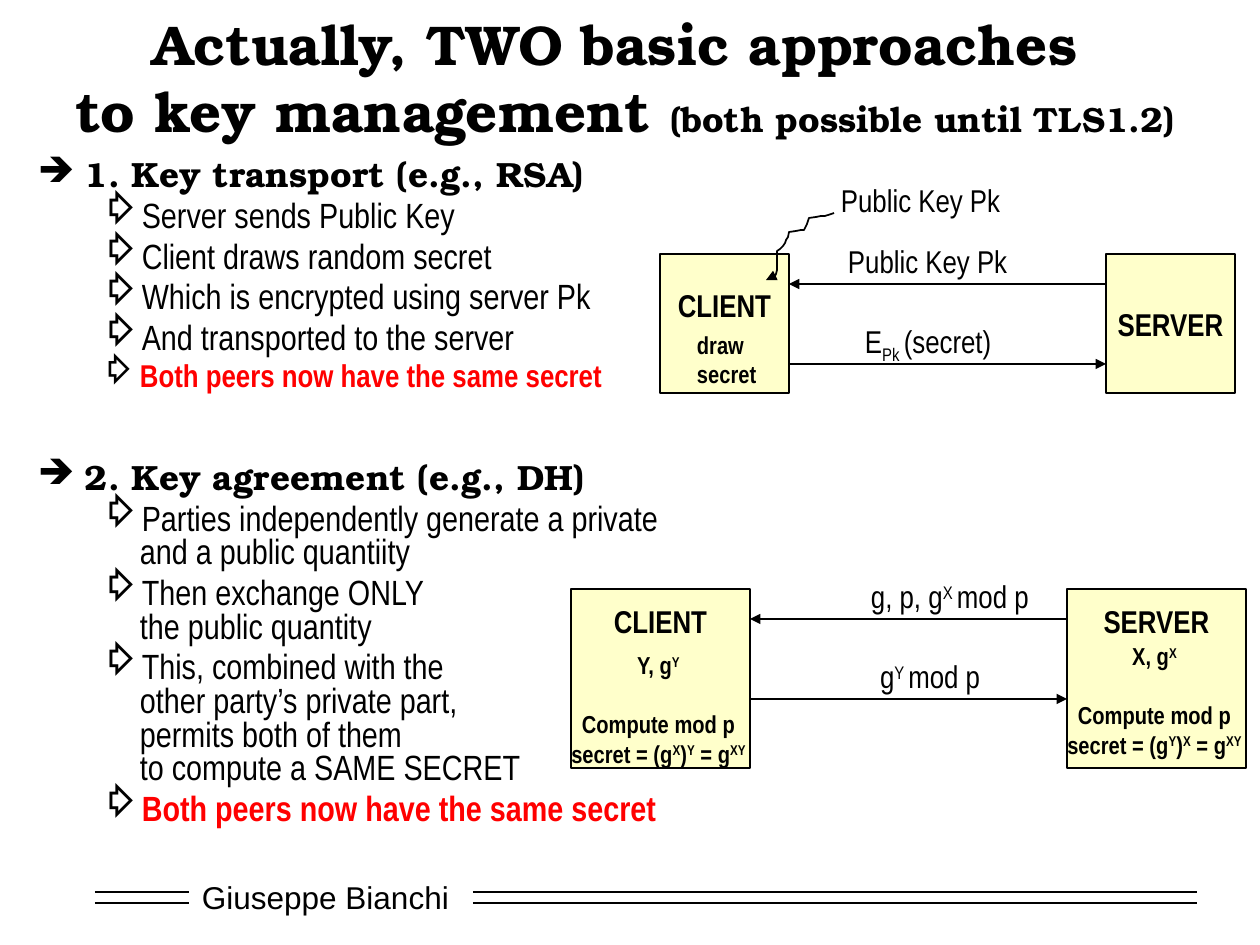
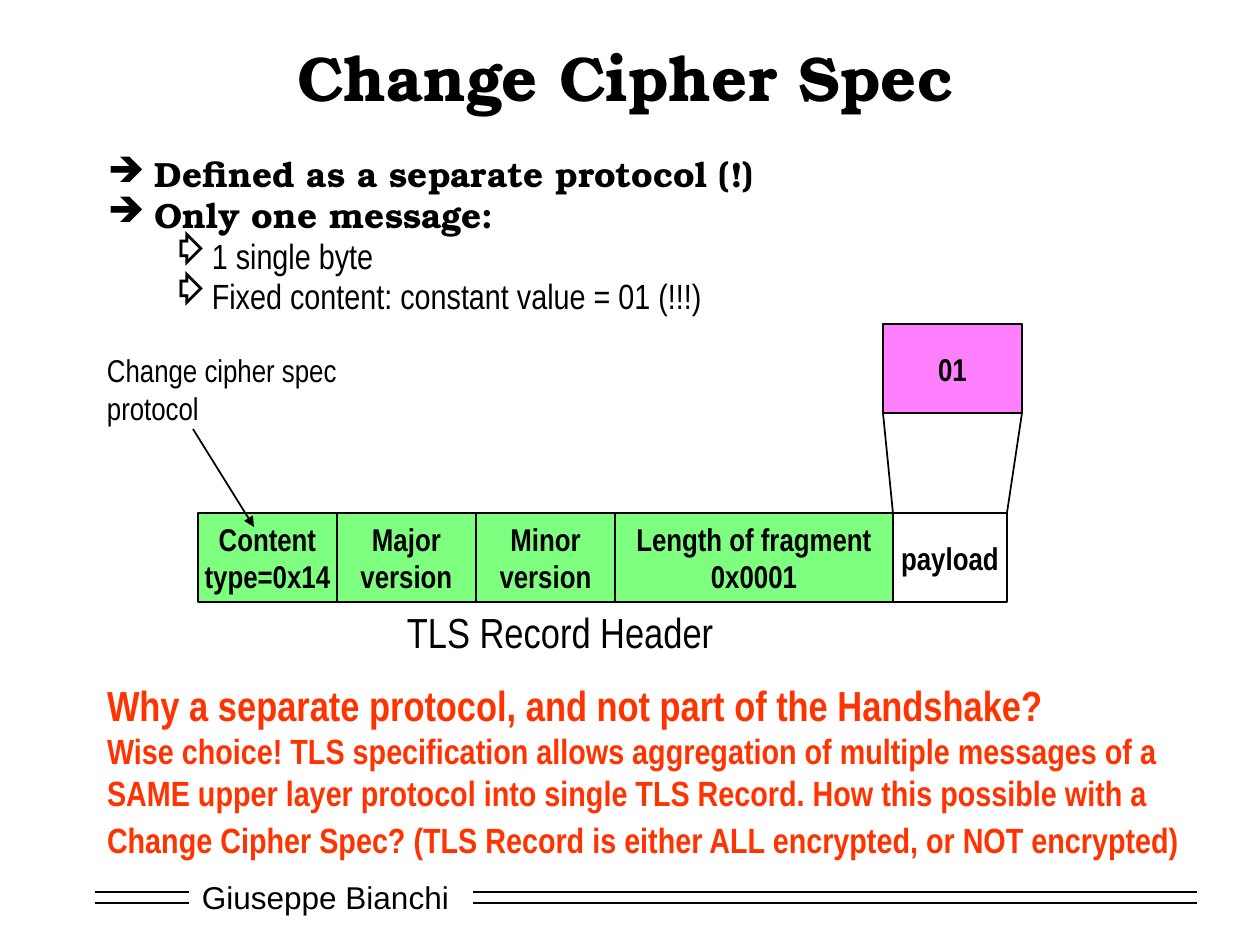
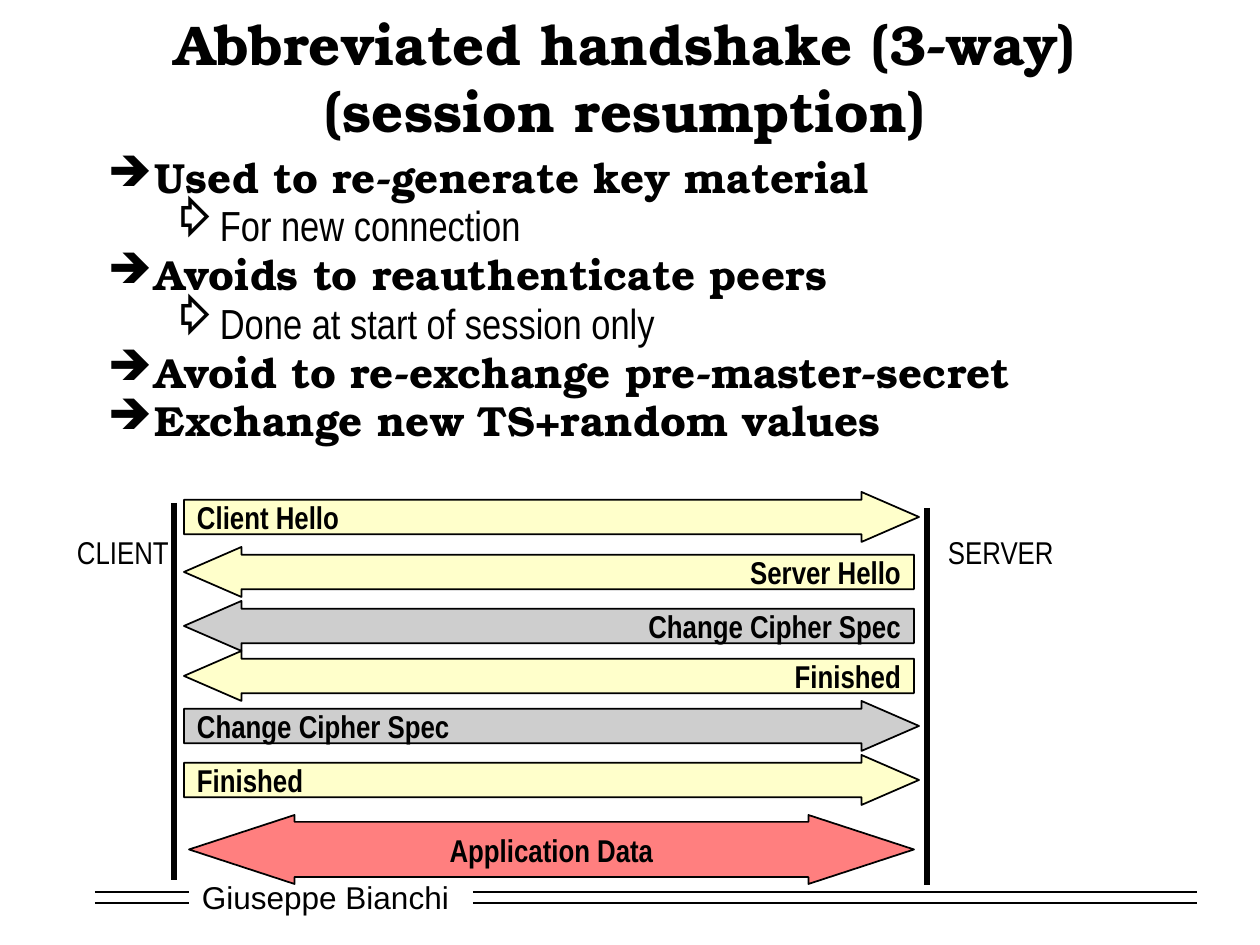
import lxml.etree
import pptx
import pptx.dml.color
import pptx.enum.shapes
import pptx.enum.text
import pptx.oxml.ns
import pptx.util

EMU_PER_PX = 914400 / 126
COLORS = {
    "ink": "000000",
    "paper": "FFFFFF",
    "alert": "FF0000",
    "question": "FF3300",
    "party": "FFFF99",
    "header": "00FF00",
    "content": "FF00FF",
    "cipher": "CECECE",
    "data": "FF0000",
}
SERIF, NARROW, SANS = "TeX Gyre Bonum", "Arial Narrow", "Arial"
BULLETS = {0: ("➔", 47, -47), 1: ("⇨", 102, -39)}
INSETS = (13, 6, 13, 6)
NO_INSETS = (0, 0, 0, 0)

ALIGN = pptx.enum.text.PP_ALIGN
ANCHOR = pptx.enum.text.MSO_ANCHOR
SHAPE = pptx.enum.shapes.MSO_SHAPE


def px(length):
    return pptx.util.Emu(round(length * EMU_PER_PX))


def rgb(name):
    return pptx.dml.color.RGBColor.from_string(COLORS[name])


def add_xml(parent, tag, **attributes):
    return lxml.etree.SubElement(parent, pptx.oxml.ns.qn(tag), attributes)


def style_font(font, size, name=NARROW, bold=False, color="ink"):
    font.size = pptx.util.Pt(size)
    font.name = name
    font.bold = bold
    font.color.rgb = rgb(color)


def fill_paragraph(paragraph, pieces):
    """Write a string, or a list of strings and (string, baseline percent) pairs."""
    for piece in [pieces] if isinstance(pieces, str) else pieces:
        text, baseline = (piece, 0) if isinstance(piece, str) else piece
        for index, line in enumerate(text.split("\n")):
            if index:
                paragraph.add_line_break()
            run = paragraph.add_run()
            run.text = line
            if baseline:
                run.font._element.set("baseline", str(baseline * 1000))


def set_frame(frame, insets=INSETS, anchor=ANCHOR.TOP):
    frame.word_wrap = True
    frame.auto_size = pptx.enum.text.MSO_AUTO_SIZE.NONE
    frame.vertical_anchor = anchor
    frame.margin_left, frame.margin_top, frame.margin_right, frame.margin_bottom = map(px, insets)


def next_paragraph(frame, index):
    return frame.add_paragraph() if index else frame.paragraphs[0]


def write(frame, paragraphs, size, align=ALIGN.LEFT, **font):
    for index, pieces in enumerate(paragraphs):
        paragraph = next_paragraph(frame, index)
        paragraph.alignment = align
        style_font(paragraph.font, size, **font)
        fill_paragraph(paragraph, pieces)


def add_text(slide, box, paragraphs, size=18, align=ALIGN.LEFT, anchor=ANCHOR.TOP, **font):
    frame = slide.shapes.add_textbox(*map(px, box)).text_frame
    set_frame(frame, anchor=anchor)
    write(frame, paragraphs, size, align, **font)
    return frame


def add_block(slide, kind, box, text, fill, opacity=50, align=ALIGN.CENTER,
              insets=NO_INSETS, anchor=ANCHOR.MIDDLE):
    shape = slide.shapes.add_shape(kind, *map(px, box))
    shape.shadow.inherit = False
    shape.fill.solid()
    shape.fill.fore_color.rgb = rgb(fill)
    if opacity < 100:
        color = shape.element.spPr.find(".//" + pptx.oxml.ns.qn("a:srgbClr"))
        add_xml(color, "a:alpha", val=str(opacity * 1000))
    shape.line.color.rgb = rgb("ink")
    shape.line.width = pptx.util.Pt(1)
    set_frame(shape.text_frame, insets, anchor)
    write(shape.text_frame, [text], 18, align, bold=True)
    return shape


def style_line(shape, width=1, arrow=False):
    shape.line.color.rgb = rgb("ink")
    shape.line.width = pptx.util.Pt(width)
    if arrow:
        add_xml(shape.line._get_or_add_ln(), "a:tailEnd", type="triangle")


def add_line(slide, start, end, width=1, arrow=False):
    line = slide.shapes.add_connector(
        pptx.enum.shapes.MSO_CONNECTOR.STRAIGHT, *map(px, start + end))
    style_line(line, width, arrow)
    add_xml(line.element.spPr, "a:effectLst")
    return line


def add_curve_arrow(slide, start, curves, steps=6):
    """Draw joined cubic curves, each given by two control points and an end."""
    points = [start]
    for first, second, end in curves:
        origin = points[-1]
        for step in range(1, steps + 1):
            t = step / steps
            weights = ((1 - t) ** 3, 3 * t * (1 - t) ** 2, 3 * t * t * (1 - t), t ** 3)
            corners = (origin, first, second, end)
            points.append(tuple(sum(w * corner[axis] for w, corner in zip(weights, corners))
                                for axis in (0, 1)))
    builder = slide.shapes.build_freeform(*points[0], scale=EMU_PER_PX)
    builder.add_line_segments(points[1:], close=False)
    shape = builder.convert_to_shape()
    shape.shadow.inherit = False
    shape.fill.background()
    style_line(shape, arrow=True)


def add_footer(slide, layout):
    """Draw the footer, then hand its parts to the layout that all slides share."""
    frame = add_text(slide, (189, 872, 273, 50), ["Giuseppe Bianchi"], name=SANS,
                     anchor=ANCHOR.MIDDLE)
    parts = [frame._parent]
    for y in (892, 903):
        for left, right in ((95, 189), (473, 1197)):
            parts.append(add_line(slide, (left, y), (right, y)))
    for part in parts:
        layout.shapes.element.append(part.element)


def add_title(slide, text, size, note="", box=(95, 32, 1061, 89)):
    title = slide.shapes.title
    title.left, title.top, title.width, title.height = map(px, box)
    set_frame(title.text_frame, anchor=ANCHOR.MIDDLE)
    write(title.text_frame, [text], size, ALIGN.CENTER, name=SERIF, bold=True)
    if note:
        run = title.text_frame.paragraphs[0].add_run()
        run.text = note
        run.font.size = pptx.util.Pt(20)


def add_bullets(slide, box, items, size):
    """Items are (level, text), with an optional dict of size, color, bold and before."""
    frame = slide.shapes.add_textbox(*map(px, box)).text_frame
    set_frame(frame)
    for index, (level, text, *options) in enumerate(items):
        style = {"size": size, "name": NARROW if level else SERIF, "bold": not level}
        style.update(*options)
        before = style.pop("before", round(style["size"] * 0.2, 1))
        paragraph = next_paragraph(frame, index)
        paragraph.level = level
        paragraph.line_spacing = 0.8
        paragraph.space_before = pptx.util.Pt(before)
        symbol, margin, indent = BULLETS[level]
        properties = paragraph._p.get_or_add_pPr()
        properties.set("marL", str(px(margin)))
        properties.set("indent", str(px(indent)))
        bullet_color = add_xml(properties, "a:buClr")
        add_xml(bullet_color, "a:srgbClr", val=COLORS["ink"])
        add_xml(properties, "a:buChar", char=symbol)
        style_font(paragraph.font, **style)
        fill_paragraph(paragraph, text)


def add_exchange(slide, left, top, side, heading_tops, messages):
    """Client and server boxes; messages are (offset, width, text): reply, then request."""
    width, height = side
    client_edge = left + width
    server_edge = client_edge + 317
    for x, name, heading_top in zip((left, server_edge), ("CLIENT", "SERVER"), heading_tops):
        add_block(slide, SHAPE.RECTANGLE, (x, top, width, height), name, "party",
                  insets=(0, heading_top, 0, 0), anchor=ANCHOR.TOP)
    for index, (offset, label_width, text) in enumerate(messages):
        y = top + 30 + 80 * index
        ends = [(server_edge, y), (client_edge, y)]
        start, end = reversed(ends) if index else ends
        add_line(slide, start, end, arrow=True)
        add_text(slide, (client_edge + offset, y - 48, label_width, 50), [text])


def add_secret(slide, box, own, other):
    """A party's private quantity and the secret it works out."""
    frame = add_text(slide, box, [
        [f"{own}, g", (own, 30)],
        ["Compute mod p\nsecret = (g", (other, 30), ")", (own, 30), " = g", ("XY", 30)],
    ], 14, ALIGN.CENTER, bold=True)
    frame.paragraphs[1].space_before = pptx.util.Pt(17)


def build_key_management(slide):
    add_title(slide, "Actually, TWO basic approaches \nto key management ", 32,
              "(both possible until TLS1.2)", (54, 32, 1142, 89))
    same_secret = "Both peers now have the same secret"
    alert = {"color": "alert", "bold": True}
    add_bullets(slide, (25, 155, 678, 583), [
        (0, "1. Key transport (e.g., RSA)"),
        (1, "Server sends Public Key"),
        (1, "Client draws random secret"),
        (1, "Which is encrypted using server Pk"),
        (1, "And transported to the server"),
        (1, same_secret, {**alert, "size": 18}),
        (0, "2. Key agreement (e.g., DH)", {"before": 40}),
        (1, "Parties independently generate a private and a public quantiity"),
        (1, "Then exchange ONLY \nthe public quantity"),
        (1, "This, combined with the \nother party’s private part, \n"
            "permits both of them \nto compute a SAME SECRET"),
        (1, same_secret, alert),
    ], 20)

    public_key = "Public Key Pk"
    add_exchange(slide, 660, 254, (129, 139), (32, 51), [
        (46, 200, public_key),
        (63, 180, ["E", ("Pk ", -25), "(secret)"]),
    ])
    add_text(slide, (684, 324, 100, 80), ["draw \nsecret"], 14, bold=True)
    add_text(slide, (828, 175, 200, 50), [public_key])
    add_curve_arrow(slide, (834, 213), [
        ((819, 218), (828, 215), (809, 218)),
        ((804, 233), (806, 229), (789, 232)),
        ((786, 242), (785, 246), (777, 251)),
        ((775, 281), (781, 272), (766, 280)),
    ])

    add_exchange(slide, 571, 589, (179, 179), (13, 13), [
        (108, 200, ["g, p, g", ("X ", 30), "mod p"]),
        (117, 160, ["g", ("Y ", 30), "mod p"]),
    ])
    add_secret(slide, (547, 644, 223, 150), "Y", "X")
    add_secret(slide, (1044, 635, 221, 150), "X", "Y")


def add_record(slide, left, top, height):
    """The record header fields, and the payload opened up above them."""
    fields = [
        ("Content\ntype=0x14", 139, "header"),
        ("Major\nversion", 139, "header"),
        ("Minor\nversion", 139, "header"),
        ("Length of fragment\n0x0001", 278, "header"),
        ("payload", 114, "paper"),
    ]
    x = left
    for text, width, fill in fields:
        add_block(slide, SHAPE.RECTANGLE, (x, top, width, height), text, fill)
        x += width
    message_left, message_top, message_width = left + 685, top - 189, 139
    add_block(slide, SHAPE.RECTANGLE, (message_left, message_top, message_width, height),
              "01", "content")
    message_bottom = message_top + height
    add_line(slide, (x - width, top), (message_left, message_bottom))
    add_line(slide, (x, top), (message_left + message_width, message_bottom))
    add_text(slide, (left + 196, top + 88, 380, 63), ["TLS Record Header"], 24)
    add_line(slide, (left - 5, top - 84), (left + 56, top + 14), arrow=True)
    add_text(slide, (left - 104, top - 168, 300, 88), ["Change cipher spec", "protocol"])


def build_change_cipher_spec(slide):
    add_title(slide, "Change Cipher Spec", 36)
    add_bullets(slide, (95, 155, 1061, 193), [
        (0, "Defined as a separate protocol (!)"),
        (0, "Only one message:"),
        (1, "1 single byte"),
        (1, "Fixed content: constant value = 01 (!!!)"),
    ], 20)
    add_record(slide, 198, 513, 89)
    frame = add_text(slide, (94, 673, 1140, 198), [
        "Why a separate protocol, and not part of the Handshake?",
        "Wise choice! TLS specification allows aggregation of multiple messages of a",
        "SAME upper layer protocol into single TLS Record. How this possible with a",
        "Change Cipher Spec? (TLS Record is either ALL encrypted, or NOT encrypted)",
    ], 20, bold=True, color="question")
    frame.paragraphs[0].font.size = pptx.util.Pt(24)
    frame.paragraphs[-1].space_before = pptx.util.Pt(3)


def add_handshake(slide, left, top):
    """Timelines of client and server with the messages between them."""
    for x, y in ((left, top + 11), (left + 753, top + 16)):
        add_line(slide, (x, y), (x, y + 377), width=3)
    add_text(slide, (left - 110, top + 35, 130, 50), ["CLIENT"])
    add_text(slide, (left + 761, top + 35, 140, 50), ["SERVER"])
    messages = [
        (0, "Client Hello", True),
        (55, "Server Hello", False),
        (109, "Change Cipher Spec", False),
        (159, "Finished", False),
        (209, "Change Cipher Spec", True),
        (263, "Finished", True),
    ]
    for offset, text, from_client in messages:
        is_cipher = text == "Change Cipher Spec"
        kind, width, align = ((SHAPE.RIGHT_ARROW, 735, ALIGN.LEFT) if from_client
                              else (SHAPE.LEFT_ARROW, 730, ALIGN.RIGHT))
        arrow = add_block(slide, kind, (left + 10, top + offset, width, 50), text,
                          "cipher" if is_cipher else "party", 100 if is_cipher else 50,
                          align, (13, 0, 13, 0))
        arrow.adjustments[0], arrow.adjustments[1] = 0.69, 1.15
    data = add_block(slide, SHAPE.LEFT_RIGHT_ARROW, (left + 15, top + 323, 725, 69),
                     "Application Data", "data")
    data.adjustments[0], data.adjustments[1] = 0.8, 1.53


def build_abbreviated_handshake(slide):
    add_title(slide, "Abbreviated handshake (3-way)\n(session resumption)", 32)
    add_bullets(slide, (95, 155, 1056, 312), [
        (0, "Used to re-generate key material"),
        (1, "For new connection"),
        (0, "Avoids to reauthenticate peers"),
        (1, "Done at start of session only"),
        (0, "Avoid to re-exchange pre-master-secret"),
        (0, "Exchange new TS+random values"),
    ], 24)
    add_handshake(slide, 174, 492)


def main():
    presentation = pptx.Presentation()
    presentation.slide_width, presentation.slide_height = px(1260), px(945)
    layout = presentation.slide_layouts.get_by_name("Title Only")
    builders = (build_key_management, build_change_cipher_spec, build_abbreviated_handshake)
    for index, build in enumerate(builders):
        slide = presentation.slides.add_slide(layout)
        if index == 0:
            add_footer(slide, layout)
        build(slide)
    presentation.save("out.pptx")


if __name__ == "__main__":
    main()
